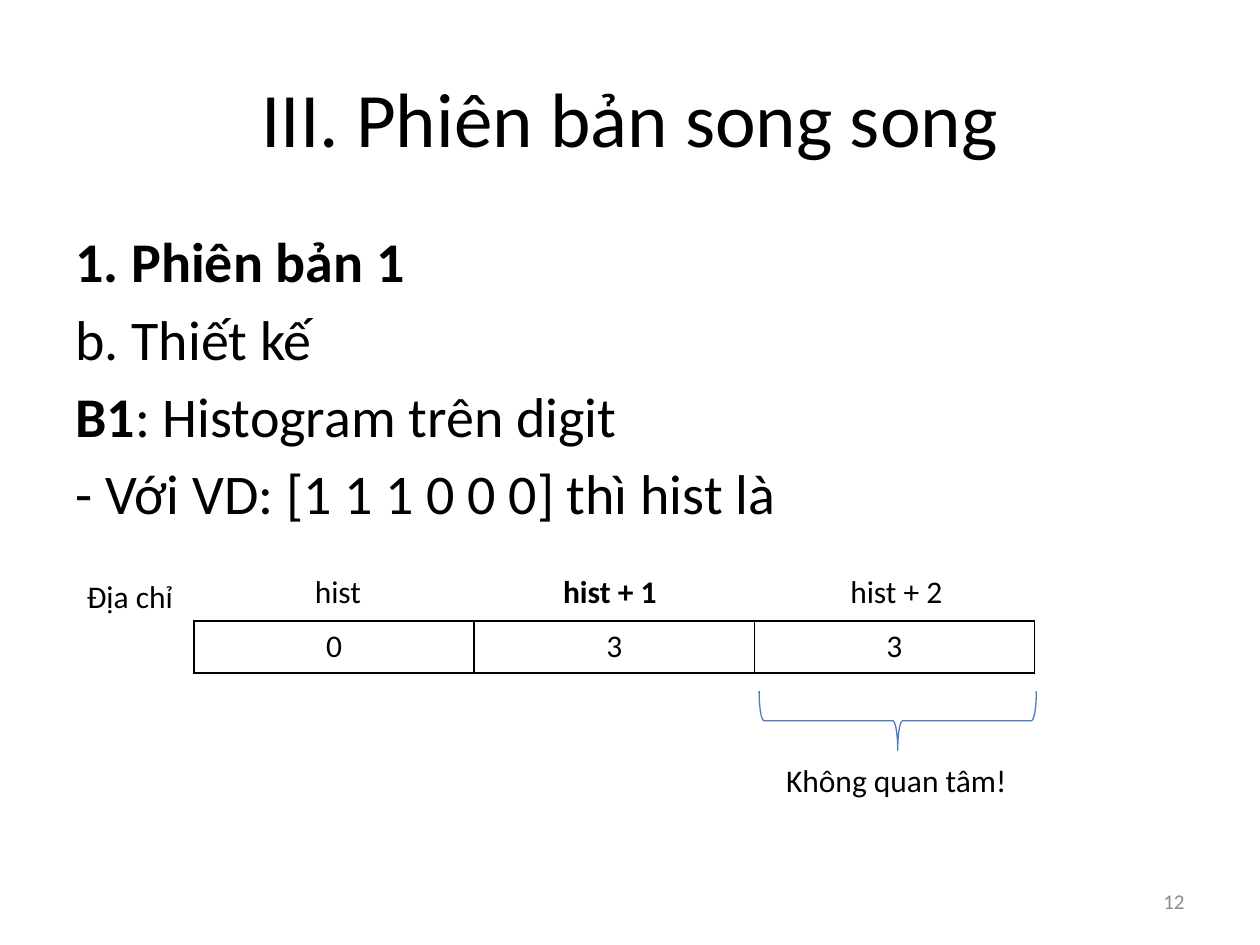
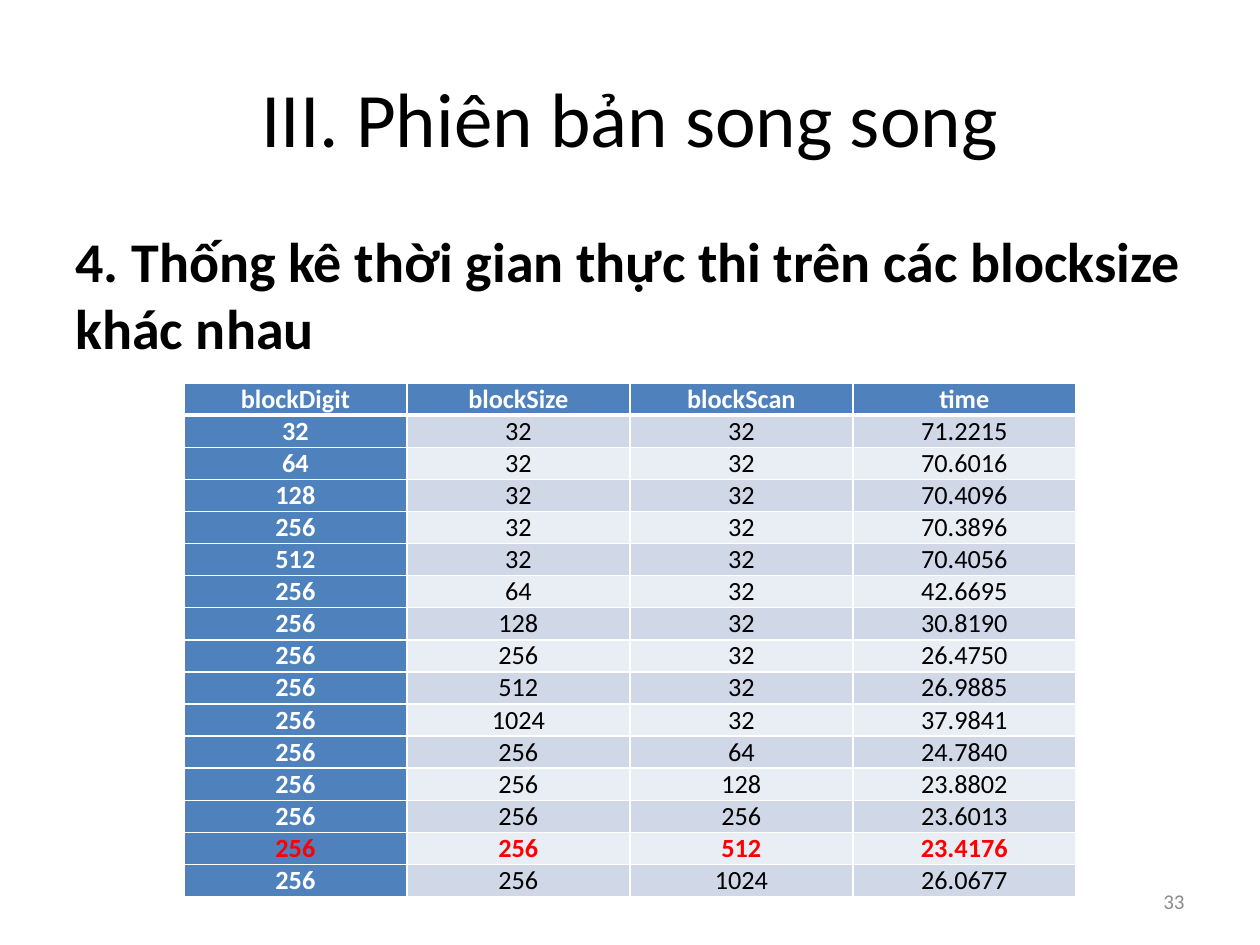
from dataclasses import dataclass

from lxml.etree import SubElement
from pptx import Presentation
from pptx.dml.color import RGBColor
from pptx.enum.shapes import MSO_SHAPE
from pptx.enum.text import MSO_ANCHOR, PP_ALIGN
from pptx.oxml.ns import qn
from pptx.util import Inches, Pt

COLS, ROWS = 40, 30


@dataclass(frozen=True)
class Theme:
    font: str = "Calibri"
    ink: str = "000000"
    paper: str = "FFFFFF"
    mute: str = "8C8C8C"
    head: str = "4F81BD"
    brace: str = "4B7EBC"
    best: str = "FF0000"
    bands: tuple = ("D0D8E8", "E9EDF4")
    title: float = 44
    body: float = 32
    label: float = 18
    cell: float = 15
    foot: float = 12
    gap: float = 5.8


class Deck:
    def __init__(self, theme):
        self.theme = theme
        self.prs = Presentation()
        self.prs.slide_width, self.prs.slide_height = Inches(10), Inches(7.5)
        self.slide = None

    def x(self, cols):
        return round(self.prs.slide_width * cols / COLS)

    def y(self, rows):
        return round(self.prs.slide_height * rows / ROWS)

    def box(self, left, top, wide, high):
        """Turn grid units into slide lengths."""
        return self.x(left), self.y(top), self.x(wide), self.y(high)

    def style(self, para, size, color=None, bold=False, align=PP_ALIGN.LEFT):
        para.alignment = align
        for run in para.runs:
            font = run.font
            font.name, font.size, font.bold = self.theme.font, Pt(size), bold
            font.color.rgb = RGBColor.from_string(color or self.theme.ink)

    def start(self, title, number):
        """Add a slide with its title and page number."""
        self.slide = self.prs.slides.add_slide(self.prs.slide_layouts[5])
        head = self.slide.shapes.title
        head.left, head.top, head.width, head.height = self.box(2, 1.2, 36, 5)
        frame = head.text_frame
        frame.text = title
        frame.vertical_anchor = MSO_ANCHOR.MIDDLE
        self.style(frame.paragraphs[0], self.theme.title, align=PP_ALIGN.CENTER)
        self.text((28.68, 27.8, 9.32, 1.6), number, self.theme.foot,
                  self.theme.mute, align=PP_ALIGN.RIGHT, anchor=MSO_ANCHOR.MIDDLE)

    def text(self, area, words, size, color=None, bold=False,
             align=PP_ALIGN.LEFT, anchor=MSO_ANCHOR.TOP, wrap=True):
        frame = self.slide.shapes.add_textbox(*self.box(*area)).text_frame
        frame.text = words
        frame.word_wrap = wrap
        frame.vertical_anchor = anchor
        for para in frame.paragraphs:
            self.style(para, size, color, bold, align)
        return frame

    def body(self, lines):
        """Write lines, each a pair of a bold lead and a plain rest."""
        words = "\n".join(lead for lead, _ in lines)
        frame = self.text((2, 7, 36, 19.8), words, self.theme.body, bold=True)
        for para, (_, rest) in zip(frame.paragraphs, lines):
            para.space_before = Pt(self.theme.gap)
            if rest:
                run = para.add_run()
                run.text = rest
                font = run.font
                font.name, font.size, font.bold = self.theme.font, Pt(self.theme.body), False
                font.color.rgb = RGBColor.from_string(self.theme.ink)

    def label(self, left, top, wide, words, bold=False):
        self.text((left, top, wide, 1.6), words, self.theme.label, bold=bold, wrap=False)

    def brace(self, area, turn):
        shape = self.slide.shapes.add_shape(MSO_SHAPE.LEFT_BRACE, *self.box(*area))
        shape.rotation = turn
        shape.shadow.inherit = False
        shape.fill.background()
        shape.line.color.rgb = RGBColor.from_string(self.theme.brace)
        shape.line.width = Pt(0.75)

    def edge(self, cell, color, top=1, bottom=1):
        props = cell._tc.get_or_add_tcPr()
        for side, width in zip("LRTB", (1, 1, top, bottom)):
            line = SubElement(props, qn(f"a:ln{side}"), w=str(Pt(width)))
            fill = SubElement(line, qn("a:solidFill"))
            SubElement(fill, qn("a:srgbClr"), val=color)

    def table(self, area, data):
        """Yield row, column and cell of a new plain table."""
        high, wide = len(data), len(data[0])
        grid = self.slide.shapes.add_table(high, wide, *self.box(*area)).table
        grid.first_row = grid.horz_banding = False
        for row in grid.rows:
            row.height = round(self.y(area[3]) / high)
        for i, values in enumerate(data):
            for j, value in enumerate(values):
                cell = grid.cell(i, j)
                cell.text_frame.text = value
                yield i, j, cell

    def strip(self, area, values):
        """Draw one row of outlined cells without fill."""
        for _, _, cell in self.table(area, [values]):
            self.edge(cell, self.theme.ink)
            cell.fill.background()
            self.style(cell.text_frame.paragraphs[0], self.theme.label,
                       align=PP_ALIGN.CENTER)

    def stats(self, area, data, best):
        """Draw a banded table with a head row and column; best is marked."""
        look = self.theme
        for i, j, cell in self.table(area, data):
            head = i == 0 or j == 0
            self.edge(cell, look.paper, top=3 if i == 1 else 1,
                      bottom=3 if i == 0 else 1)
            cell.fill.solid()
            fill = look.head if head else look.bands[(i - 1) % 2]
            cell.fill.fore_color.rgb = RGBColor.from_string(fill)
            cell.margin_left = cell.margin_right = self.x(0.28)
            cell.margin_top = cell.margin_bottom = 0
            color = look.best if i == best else look.paper if head else look.ink
            self.style(cell.text_frame.paragraphs[0], look.cell, color,
                       head or i == best, PP_ALIGN.CENTER)


TITLE = "III. Phiên bản song song"
TIMES = """blockDigit blockSize blockScan time
32 32 32 71.2215
64 32 32 70.6016
128 32 32 70.4096
256 32 32 70.3896
512 32 32 70.4056
256 64 32 42.6695
256 128 32 30.8190
256 256 32 26.4750
256 512 32 26.9885
256 1024 32 37.9841
256 256 64 24.7840
256 256 128 23.8802
256 256 256 23.6013
256 256 512 23.4176
256 256 1024 26.0677"""


def design(deck):
    deck.start(TITLE, "12")
    deck.body([("1. Phiên bản 1", ""), ("", "b. Thiết kế"),
               ("B1", ": Histogram trên digit"),
               ("", "- Với VD: [1 1 1 0 0 0] thì hist là")])
    deck.strip((6.16, 19.72, 26.68, 1.64), ["0", "3", "3"])
    deck.label(9.6, 17.96, 2.28, "hist")
    deck.label(17.48, 17.96, 3.8, "hist + 1", bold=True)
    deck.label(26.6, 17.96, 3.76, "hist + 2")
    deck.label(2.36, 18.12, 3.56, "Địa chỉ")
    deck.brace((27.56, 18.48, 1.88, 8.8), 270)
    deck.label(24.56, 23.96, 7.88, "Không quan tâm!")


def timing(deck):
    deck.start(TITLE, "33")
    deck.body([("4. Thống kê thời gian thực thi trên các blocksize khác nhau", "")])
    data = [line.split() for line in TIMES.splitlines()]
    times = [float(row[-1]) for row in data[1:]]
    deck.stats((5.84, 12.16, 28.32, 16.32), data, times.index(min(times)) + 1)


def main():
    deck = Deck(Theme())
    design(deck)
    timing(deck)
    deck.prs.save("out.pptx")


if __name__ == "__main__":
    main()
